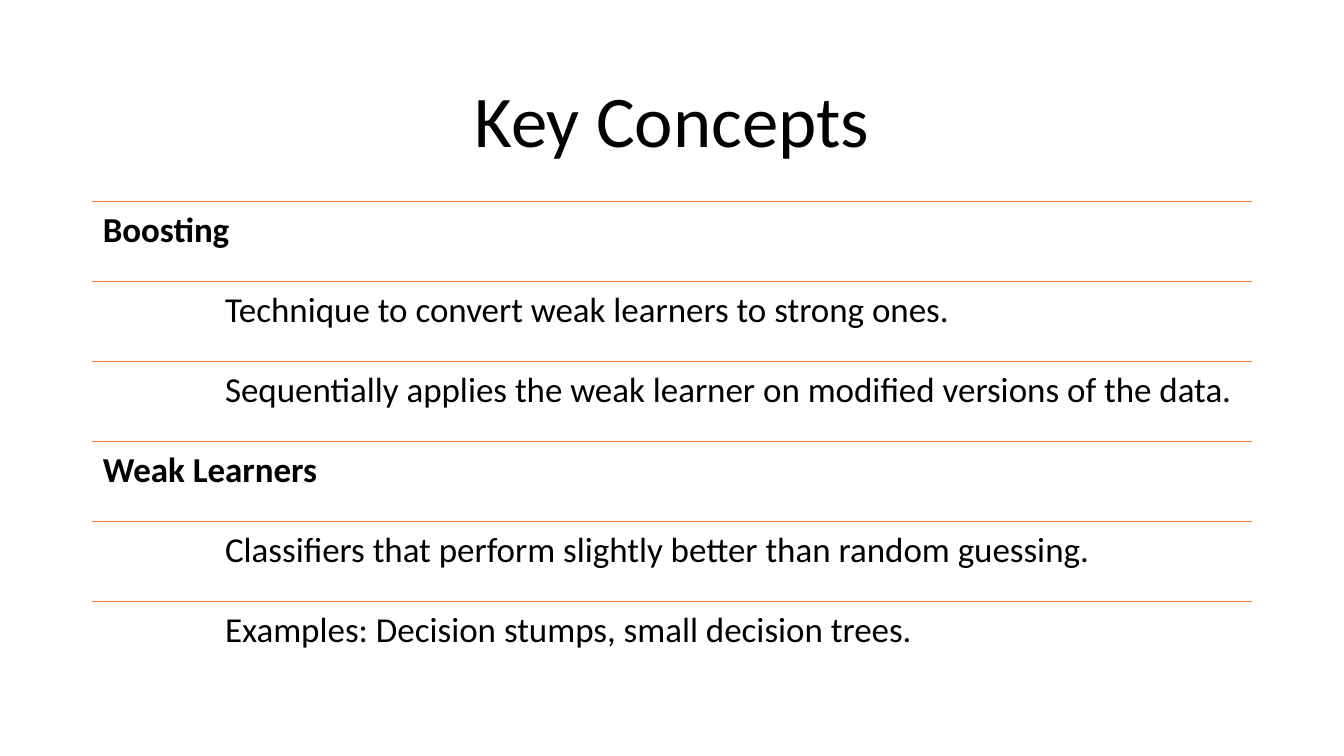
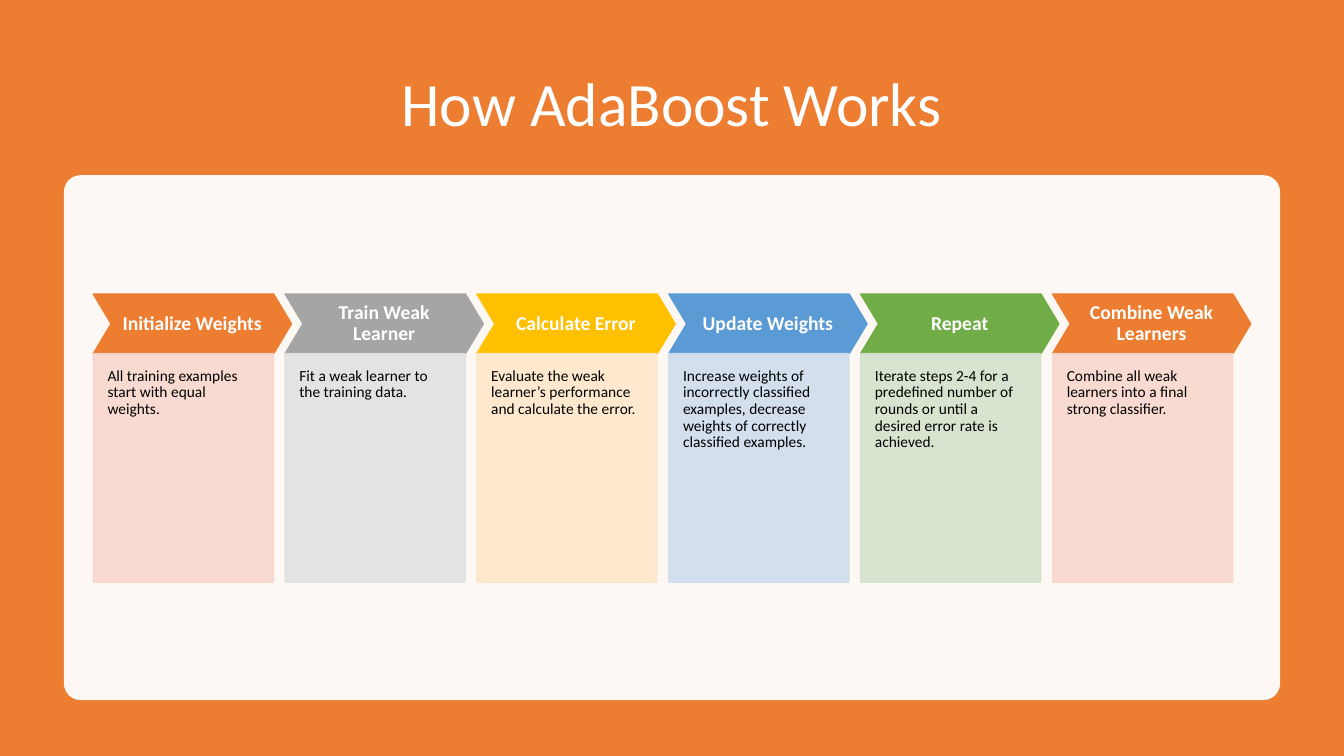
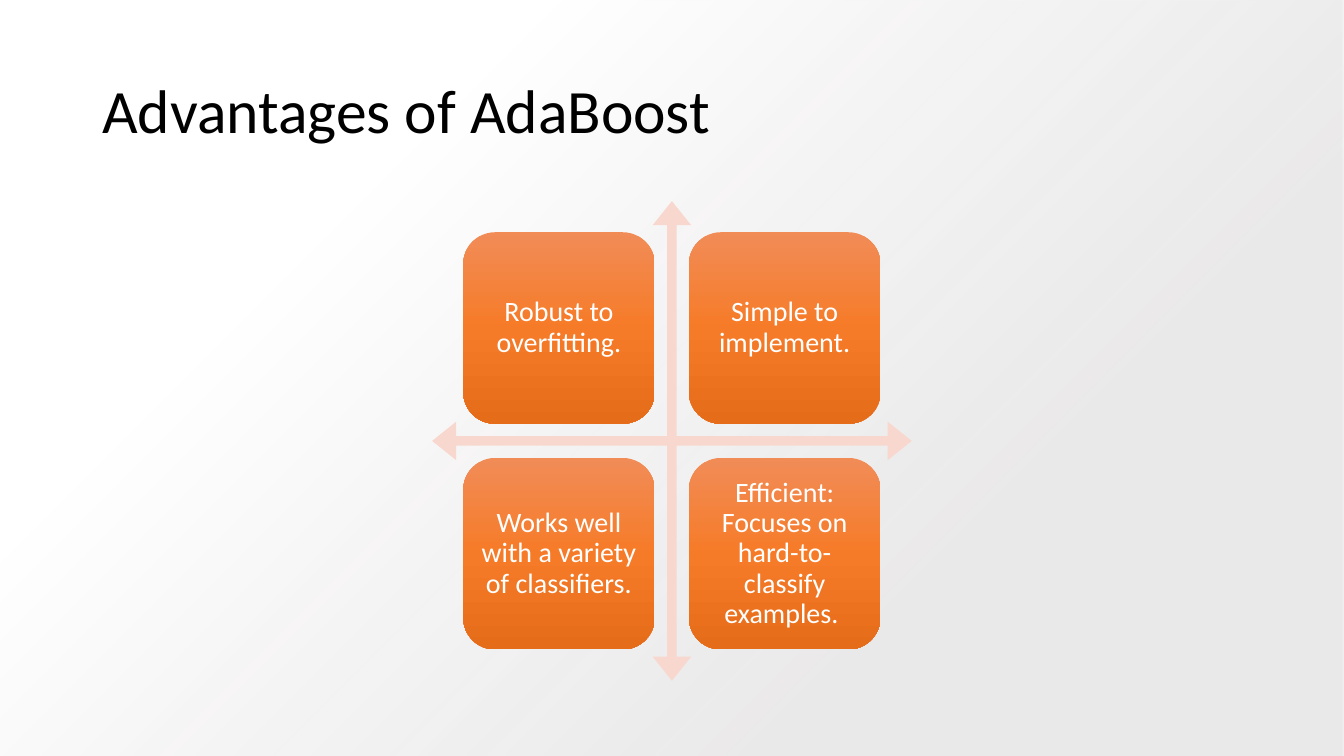
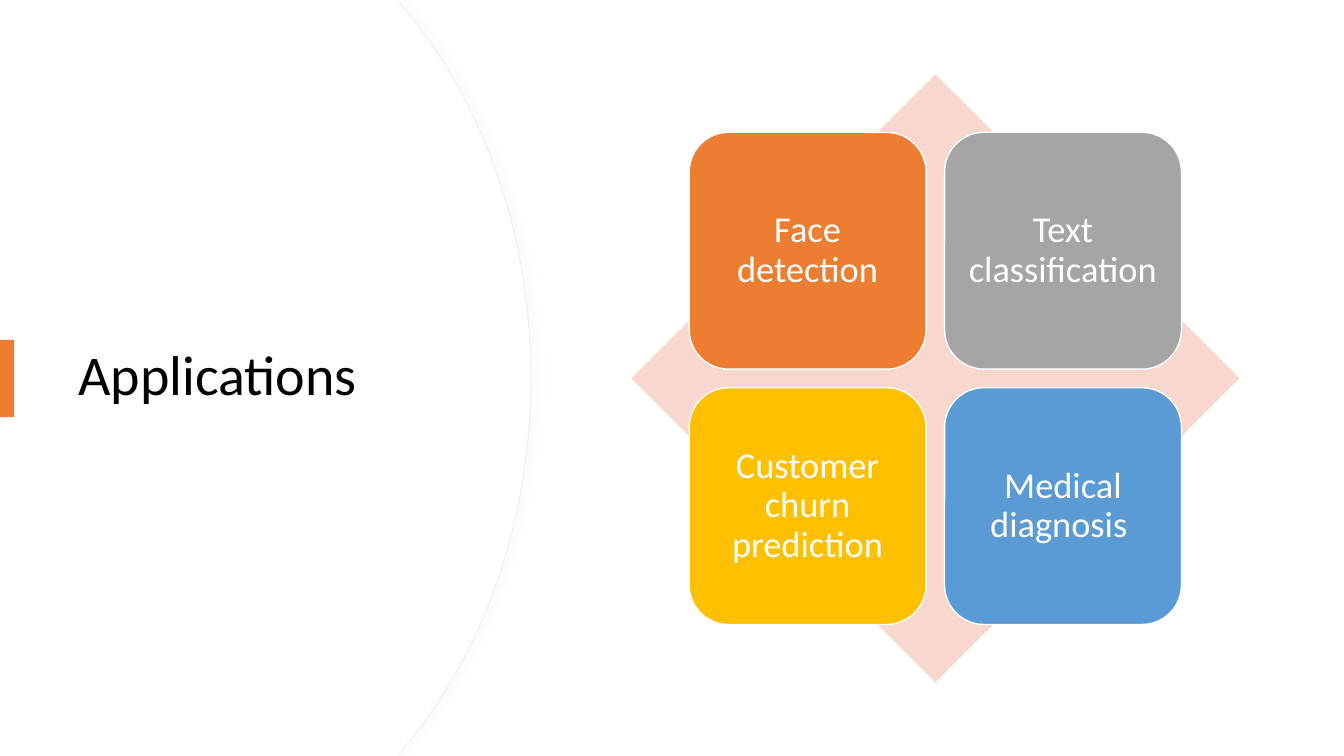
"""Build a four-slide deck on AdaBoost, laid out on a grid of 160 by 90 square cells."""
from lxml import etree
from pptx import Presentation
from pptx.dml.color import RGBColor
from pptx.enum.shapes import MSO_CONNECTOR, MSO_SHAPE
from pptx.enum.text import MSO_ANCHOR, PP_ALIGN
from pptx.oxml import parse_xml
from pptx.oxml.ns import nsdecls, qn
from pptx.util import Emu, Pt

COLUMNS, ROWS = 160, 90
CELL = Emu(76200)
FONT = "Calibri"
LEFT, CENTER = PP_ALIGN.LEFT, PP_ALIGN.CENTER
TOP, MIDDLE = MSO_ANCHOR.TOP, MSO_ANCHOR.MIDDLE
RECTANGLE, ROUNDED = MSO_SHAPE.RECTANGLE, MSO_SHAPE.ROUNDED_RECTANGLE
CHEVRON, DIAMOND, QUAD_ARROW = MSO_SHAPE.CHEVRON, MSO_SHAPE.DIAMOND, MSO_SHAPE.QUAD_ARROW
STRAIGHT = MSO_CONNECTOR.STRAIGHT

COLOURS = {
    "black": "000000", "white": "FFFFFF",
    "orange": "ED7D31", "orange tint": "F8D7CE",
    "grey": "A5A5A5", "grey tint": "E1E1E1",
    "gold": "FFC000", "gold tint": "FFE8CC",
    "blue": "5B9BD5", "blue tint": "CFDDED",
    "green": "70AD47", "green tint": "D3E2CC",
    "edge": "EFEFEF", "shade": "D9D9D9", "mist": "E7E6E6",
    "glow": "F18C57", "ember": "F67B28", "rust": "E56C19",
}
GRADIENTS = {
    "corner mist": (
        [(28, "mist", 84), (74, "white", 100)],
        '<a:path path="circle"><a:fillToRect l="100000" t="100000"/></a:path>',
    ),
    "warm": (
        [(0, "glow", 100), (50, "ember", 100), (100, "rust", 100)],
        '<a:lin ang="5400000" scaled="0"/>',
    ),
}


def draw(page, kind, cells, fill, line=None, opacity=100, adjust=()):
    """Add a preset shape placed in grid cells, with its fill, line and opacity."""
    shape = page.shapes.add_shape(kind, *[int(cell * CELL) for cell in cells])
    for index, value in enumerate(adjust):
        shape.adjustments[index] = value
    properties = shape._element.spPr
    if fill in GRADIENTS:
        stops, direction = GRADIENTS[fill]
        marks = "".join(
            f'<a:gs pos="{place * 1000}"><a:srgbClr val="{COLOURS[name]}">'
            f'<a:alpha val="{alpha * 1000}"/></a:srgbClr></a:gs>'
            for place, name, alpha in stops
        )
        properties.append(parse_xml(
            f'<a:gradFill {nsdecls("a")} rotWithShape="1"><a:gsLst>{marks}</a:gsLst>{direction}</a:gradFill>'
        ))
    else:
        shape.fill.solid()
        shape.fill.fore_color.rgb = RGBColor.from_string(COLOURS[fill])
    if line:
        shape.line.color.rgb = RGBColor.from_string(COLOURS[line])
        shape.line.width = Pt(1)
    else:
        shape.line.fill.background()
    if opacity < 100:
        for colour in properties.iter(qn("a:srgbClr")):
            etree.SubElement(colour, qn("a:alpha"), val=str(opacity * 1000))
    shape.shadow.inherit = False
    return shape


def write(box, text, size, colour, insets, align=CENTER, anchor=MIDDLE, bold=False):
    """Put one formatted paragraph into a box, with insets in grid cells."""
    frame = box.text_frame
    para = frame.paragraphs[0]
    span = para.add_run()
    span.text = text
    formats = {
        frame: {"word_wrap": True, "vertical_anchor": anchor},
        para: {"alignment": align, "line_spacing": 0.9},
        span.font: {"name": FONT, "size": Pt(size), "bold": bold},
    }
    for side, inset in zip(("left", "top", "right", "bottom"), insets):
        formats[frame][f"margin_{side}"] = int(inset * CELL)
    for target, values in formats.items():
        for name, value in values.items():
            setattr(target, name, value)
    span.font.color.rgb = RGBColor.from_string(COLOURS[colour])


deck = Presentation()
deck.slide_width, deck.slide_height = COLUMNS * CELL, ROWS * CELL
pages = [deck.slides.add_slide(deck.slide_layouts[6]) for _ in range(4)]
concepts, steps, advantages, applications = pages

for page, fill in ((steps, "orange"), (advantages, "corner mist")):
    draw(page, RECTANGLE, (0, 0, COLUMNS, ROWS), fill)

for reach, outlined in ((63.2, True), (63.1, False)):
    upper = [(47.3, 0), (reach - 15.1, 1), (reach - 5.7, 12.2), (reach, 27.8), (reach, ROWS / 2)]
    lower = [(x, ROWS - y) for x, y in reversed(upper[:-1])]
    builder = applications.shapes.build_freeform(0, 0)
    builder.add_line_segments([(x * CELL, y * CELL) for x, y in upper + lower + [(0, ROWS)]])
    disc = builder.convert_to_shape()
    segments = list(disc._element.spPr.iter(qn("a:lnTo")))
    for first in (2, 5):
        trio = segments[first:first + 3]
        curve = etree.Element(qn("a:cubicBezTo"))
        trio[0].addprevious(curve)
        for segment in trio:
            curve.append(segment[0])
            segment.getparent().remove(segment)
    disc.fill.solid()
    disc.fill.fore_color.rgb = RGBColor.from_string(COLOURS["white"])
    disc.shadow.inherit = False
    if outlined:
        disc.line.color.rgb = RGBColor.from_string(COLOURS["edge"])
        disc.line.width = Pt(0.75)
        disc._element.spPr.find(qn("a:effectLst")).append(parse_xml(
            f'<a:outerShdw {nsdecls("a")} blurRad="{Pt(10)}" dist="{Pt(3)}" dir="0">'
            f'<a:srgbClr val="{COLOURS["shade"]}"><a:alpha val="15000"/></a:srgbClr></a:outerShdw>'
        ))
    else:
        disc.line.fill.background()

titles = (
    ("Key Concepts", (11, 7.3, 138, 14.9), 52, "black", CENTER),
    ("How AdaBoost Works", (11, 6.1, 138, 13.2), 44, "white", CENTER),
    ("Advantages of AdaBoost", (11, 4.8, 138, 17.4), 44, "black", LEFT),
    ("Applications", (8.15, 15.2, 47.3, 59.4), 40, "black", LEFT),
)
for page, (text, cells, size, colour, align) in zip(pages, titles):
    box = page.shapes.add_textbox(*[int(cell * CELL) for cell in cells])
    write(box, text, size, colour, (1.2, 0.6, 1.2, 0.6), align)

outline = (
    ("Boosting", True),
    ("Technique to convert weak learners to strong ones.", False),
    ("Sequentially applies the weak learner on modified versions of the data.", False),
    ("Weak Learners", True),
    ("Classifiers that perform slightly better than random guessing.", False),
    ("Examples: Decision stumps, small decision trees.", False),
)
left, width, pitch = 11 * CELL, 138 * CELL, int(9.52 * CELL)
for row, (text, heading) in enumerate(outline):
    top = 24 * CELL + row * pitch
    rule = concepts.shapes.add_connector(STRAIGHT, left, top, left + width, top)
    rule._element.remove(rule._element.find(qn("p:style")))
    rule.line.color.rgb = RGBColor.from_string(COLOURS["orange"])
    rule.line.width = Pt(1)
    etree.SubElement(rule._element.spPr, qn("a:effectLst"))
    box = concepts.shapes.add_textbox(left, top, width, pitch)
    indent = 1.25 if heading else 15.8
    write(box, text, 25, "black", (indent, 1.3, 1.1, 1.2), LEFT, TOP, heading)

draw(steps, ROUNDED, (7.6, 20.85, 144.8, 62.5), "white", opacity=95, adjust=[0.032])
stages = (
    ("orange", "Initialize Weights", "All training examples start with equal weights."),
    ("grey", "Train Weak Learner", "Fit a weak learner to the training data."),
    ("gold", "Calculate Error", "Evaluate the weak learner’s performance and calculate the error."),
    ("blue", "Update Weights", "Increase weights of incorrectly classified examples, "
     "decrease weights of correctly classified examples."),
    ("green", "Repeat", "Iterate steps 2-4 for a predefined number of rounds "
     "or until a desired error rate is achieved."),
    ("orange", "Combine Weak Learners", "Combine all weak learners into a final strong classifier."),
)
for column, (colour, heading, detail) in enumerate(stages):
    left, tint = 11.1 + column * 22.84, f"{colour} tint"
    arrow = draw(steps, CHEVRON, (left, 35, 23.6, 7.1), colour, colour, adjust=[0.3])
    write(arrow, heading, 14, "white", [0.84] * 4, bold=True)
    panel = draw(steps, RECTANGLE, (left, 42.1, 21.45, 27.2), tint, tint, 90)
    write(panel, detail, 11, "black", (1.7, 1.7, 1.7, 3.4), LEFT, TOP)

draw(advantages, QUAD_ARROW, (51.45, 23.95, 57.1, 57.1), "orange tint", adjust=[0.02, 0.04, 0.05])
draw(applications, RECTANGLE, (0, 40.45, 1.7, 9.2), "orange")
draw(applications, DIAMOND, (75.15, 8.85, 72.4, 72.4), "orange tint")

quadrants = (
    (advantages, (55.15, 27.65), 22.8, 26.87, 20, 0.9, None, (
        ("warm", "Robust to overfitting."),
        ("warm", "Simple to implement."),
        ("warm", "Works well with a variety of classifiers."),
        ("warm", "Efficient: Focuses on hard-to-classify examples. "),
    )),
    (applications, (82.05, 15.75), 28.2, 30.4, 26, 1.3, "white", (
        ("orange", "Face detection"),
        ("grey", "Text classification"),
        ("gold", "Customer churn prediction"),
        ("blue", "Medical diagnosis "),
    )),
)
for page, (left, top), side, pitch, size, inset, line, tiles in quadrants:
    for index, (fill, text) in enumerate(tiles):
        row, column = divmod(index, 2)
        tile = draw(page, ROUNDED, (left + column * pitch, top + row * pitch, side, side), fill, line)
        write(tile, text, size, "white", [inset] * 4)

deck.save("out.pptx")
